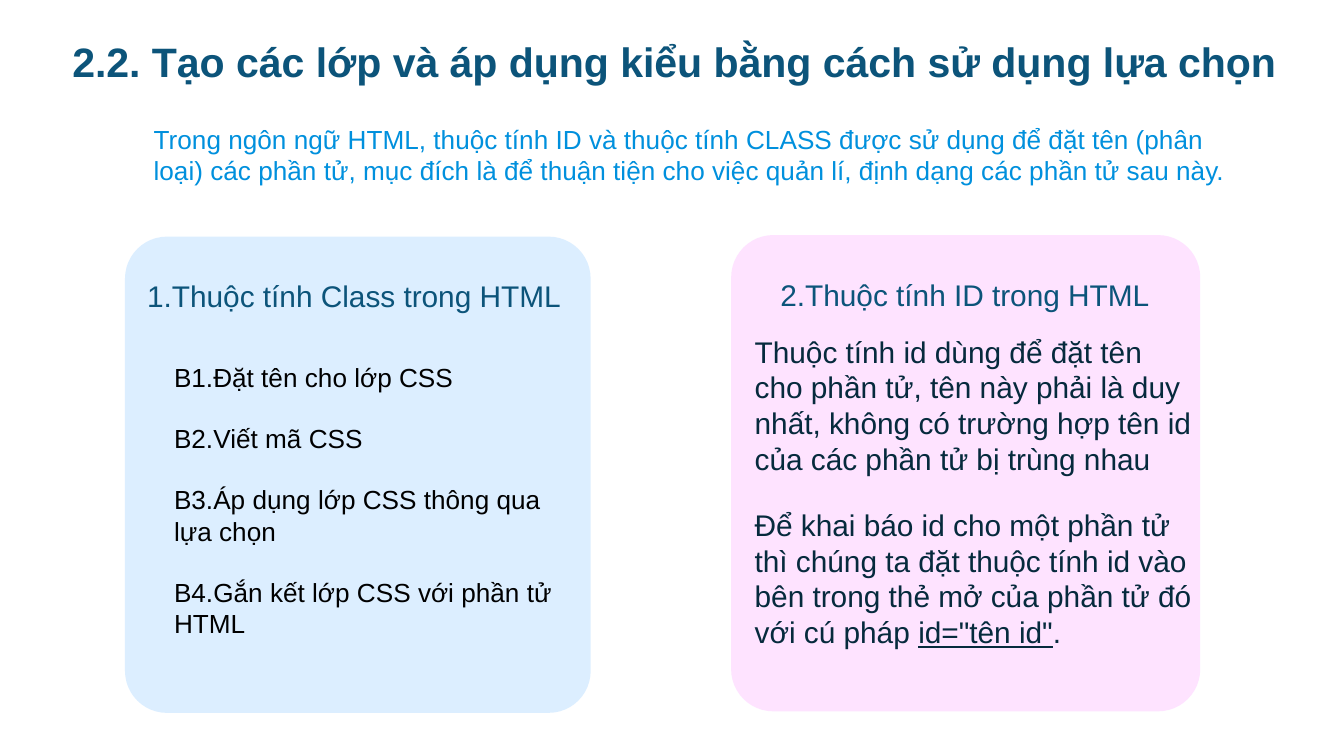
import pptx
import pptx.util
import pptx.dml.color
import pptx.enum.shapes
import pptx.enum.text
import pptx.oxml.ns
from lxml import etree

Inches, Pt = pptx.util.Inches, pptx.util.Pt
RGBColor = pptx.dml.color.RGBColor
ALIGN = pptx.enum.text.PP_ALIGN
ANCHOR = pptx.enum.text.MSO_ANCHOR
qn = pptx.oxml.ns.qn

WIDTH = Inches(10)
HEIGHT = WIDTH * 9 // 16
FONT = "Arial"
NAVY = RGBColor(0x0C, 0x54, 0x7A)
SKY = RGBColor(0x00, 0x90, 0xDD)
INK = RGBColor(0x06, 0x2A, 0x3D)
BLACK = RGBColor(0, 0, 0)
BLUE_CARD = RGBColor(0x41, 0xA4, 0xFF)
PINK_CARD = RGBColor(0xFC, 0x9F, 0xFF)

TITLE = "2.2. Tạo các lớp và áp dụng kiểu bằng cách sử dụng lựa chọn"
INTRO = [
    ["Trong ngôn ngữ HTML, thuộc tính ID và thuộc tính CLASS được sử dụng "
     "để đặt tên (phân"],
    ["loại) các phần tử, mục đích là để thuận tiện cho việc quản lí, "
     "định dạng các phần tử sau này."],
]
CLASS_STEPS = [
    ["B1.Đặt tên cho lớp CSS"],
    ["B2.Viết mã CSS"],
    ["B3.Áp dụng lớp CSS thông qua lựa chọn"],
    ["B4.Gắn kết lớp CSS với phần tử HTML"],
]
SYNTAX = 'id="tên id"'
ID_NOTES = [
    ["Thuộc tính id dùng để đặt tên cho phần tử, tên này phải là duy nhất, "
     "không có trường hợp tên id của các phần tử bị trùng nhau"],
    ["Để khai báo id cho một phần tử thì chúng ta đặt thuộc tính id vào bên "
     "trong thẻ mở của phần tử đó với cú pháp\u00a0", SYNTAX, "."],
]


def area(x, y, w, h):
    """Turn percentages of the slide's size into lengths."""
    return (int(WIDTH * x / 100), int(HEIGHT * y / 100),
            int(WIDTH * w / 100), int(HEIGHT * h / 100))


def place(sp, box):
    sp.left, sp.top, sp.width, sp.height = area(*box)


def add_card(s, box, color, opacity):
    """Add a rounded panel; opacity is a percentage."""
    sp = s.shapes.add_shape(
        pptx.enum.shapes.MSO_SHAPE.ROUNDED_RECTANGLE, *area(*box))
    sp.adjustments[0] = 0.09
    sp.shadow.inherit = False
    sp.line.fill.background()
    sp.fill.solid()
    sp.fill.fore_color.rgb = color
    clr = sp._element.spPr.find(qn("a:solidFill"))[0]
    etree.SubElement(clr, qn("a:alpha")).set("val", str(opacity * 1000))
    # Cards lie behind the placeholders.
    s.shapes._spTree.insert(2, sp._element)


def write(sp, paragraphs, size, color, bold=False, align=ALIGN.LEFT,
          anchor=ANCHOR.TOP, after=0, indent=0, inset=0.1):
    """Fill a shape with paragraphs, each a list of run texts."""
    tf = sp.text_frame
    tf.word_wrap = True
    tf.auto_size = pptx.enum.text.MSO_AUTO_SIZE.NONE
    tf.vertical_anchor = anchor
    tf.margin_left = tf.margin_right = Inches(0.1)
    tf.margin_top = tf.margin_bottom = Inches(inset)
    for i, runs in enumerate(paragraphs):
        p = tf.paragraphs[0] if i == 0 else tf.add_paragraph()
        p.alignment = align
        p.space_before = Pt(0)
        p.space_after = Pt(after)
        pPr = p._p.get_or_add_pPr()
        pPr.set("marL", str(Inches(indent)))
        pPr.set("indent", "0")
        etree.SubElement(pPr, qn("a:buNone"))
        for text in runs:
            r = p.add_run()
            r.text = text
            r.font.name = FONT
            r.font.size = Pt(size)
            r.font.bold = bold
            r.font.color.rgb = color
            if text == SYNTAX:
                r.font.underline = True


def add_heading(sp, box, text):
    place(sp, box)
    write(sp, [[text]], 16, NAVY, align=ALIGN.CENTER, anchor=ANCHOR.MIDDLE)


def add_body(sp, box, paragraphs, size, color, inset):
    place(sp, box)
    write(sp, paragraphs, size, color, after=16, inset=inset)


def main():
    prs = pptx.Presentation()
    prs.slide_width, prs.slide_height = WIDTH, HEIGHT
    s = prs.slides.add_slide(prs.slide_layouts.get_by_name("Comparison"))
    title, class_head, class_body, id_head, id_body = s.placeholders

    add_card(s, (9.3, 31.3, 34.65, 63), BLUE_CARD, 18)
    add_card(s, (54.4, 31.1, 34.9, 63), PINK_CARD, 29)

    place(title, (3.2, 3, 94, 11.2))
    write(title, [[TITLE]], 22, NAVY, bold=True, align=ALIGN.CENTER)

    intro = s.shapes.add_textbox(*area(9.05, 14.5, 84.6, 9.6))
    write(intro, INTRO, 14, SKY, indent=0.14)

    add_heading(class_head, (4.2, 34, 44.3, 10.3),
                "1.Thuộc tính Class trong HTML")
    add_heading(id_head, (53.6, 34.8, 36.4, 8.4),
                "2.Thuộc tính ID trong HTML")
    add_body(class_body, (11.95, 46.9, 30.6, 39), CLASS_STEPS, 14, BLACK, 0.05)
    add_body(id_body, (55.15, 42.3, 34.9, 46.3), ID_NOTES, 16, INK, 0.1)

    prs.save("out.pptx")


if __name__ == "__main__":
    main()
